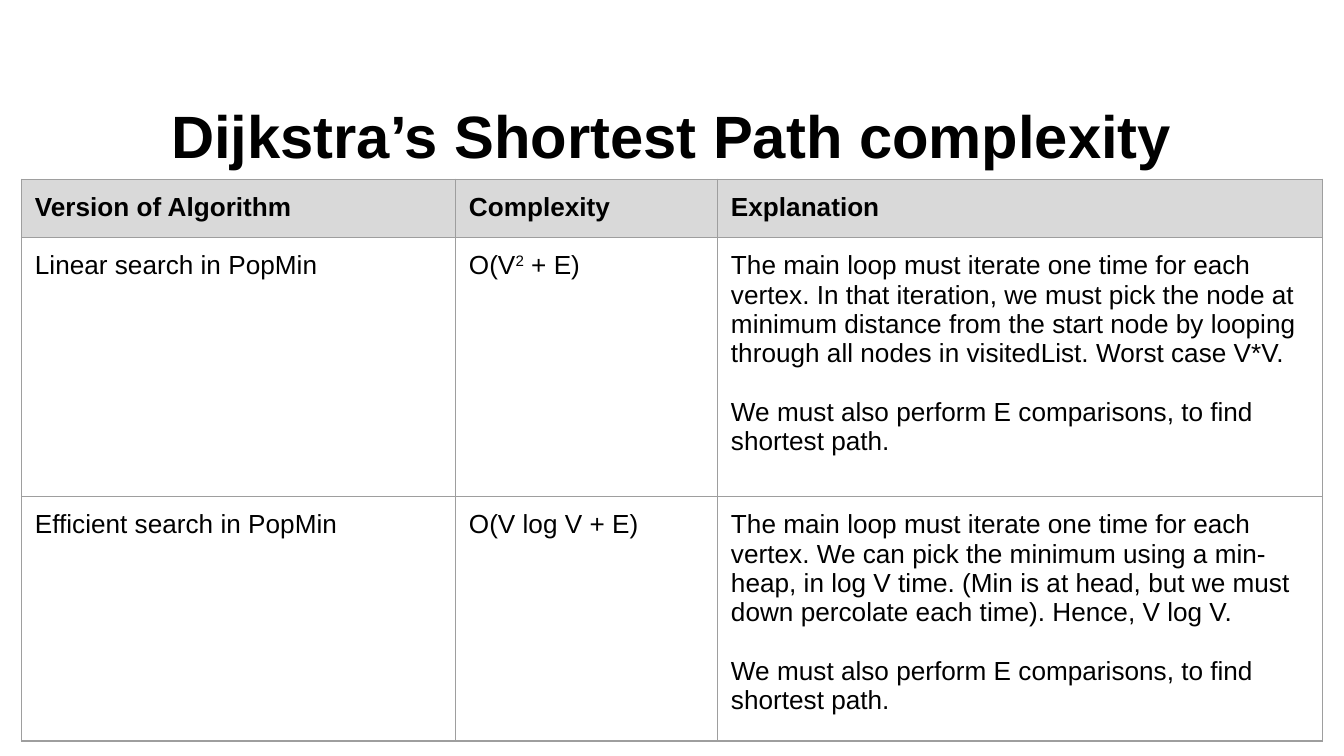
from lxml.etree import SubElement as Sub
from pptx import Presentation
from pptx.dml.color import RGBColor as RGB
from pptx.enum.text import MSO_ANCHOR as Anchor, PP_ALIGN as Align
from pptx.oxml.ns import qn
from pptx.util import Pt

BLACK = RGB(0, 0, 0)
HEAD = RGB(0xD9, 0xD9, 0xD9)
EDGE = RGB(0x9E, 0x9E, 0x9E)
PAD = Pt(7.2)
GAP = Pt(15.75)


def write(frame, text, size=14, bold=False, align=Align.LEFT):
    for i, line in enumerate(text.split("\n")):
        para = frame.paragraphs[0] if i == 0 else frame.add_paragraph()
        para.alignment = align
        if i:
            para.space_before = GAP
        for j, part in enumerate(line.split("^")):
            run = para.add_run()
            run.text = part
            font = run.font
            font.name = "Arial"
            font.size = Pt(size)
            font.bold = bold
            font.color.rgb = BLACK
            if j % 2:
                run._r.get_or_add_rPr().set("baseline", "30000")


def frame_cell(cell):
    props = cell._tc.get_or_add_tcPr()
    for i, side in enumerate(("lnL", "lnR", "lnT", "lnB")):
        line = props.makeelement(qn(f"a:{side}"), {"w": str(Pt(0.75))})
        fill = Sub(line, qn("a:solidFill"))
        Sub(fill, qn("a:srgbClr"), val=str(EDGE))
        props.insert(i, line)


deck = Presentation()
deck.slide_width = Pt(720)
deck.slide_height = Pt(405)
slide = deck.slides.add_slide(deck.slide_layouts[6])

title = slide.shapes.add_textbox(Pt(36), Pt(40.5), Pt(648), Pt(63)).text_frame
title.word_wrap = True
title.vertical_anchor = Anchor.MIDDLE
title.margin_left = title.margin_right = PAD
title.margin_top = title.margin_bottom = PAD
write(title, "Dijkstra’s Shortest Path complexity", size=32, bold=True, align=Align.CENTER)

edges = "We must also perform E comparisons, to find shortest path."
rows = [
    ("Version of Algorithm", "Complexity", "Explanation"),
    (
        "Linear search in PopMin",
        "O(V^2^ + E)",
        "The main loop must iterate one time for each vertex. "
        "In that iteration, we must pick the node at minimum distance "
        "from the start node by looping through all nodes in visitedList. "
        "Worst case V*V.\n" + edges,
    ),
    (
        "Efficient search in PopMin",
        "O(V log V + E)",
        "The main loop must iterate one time for each vertex. "
        "We can pick the minimum using a min-heap, in log V time. "
        "(Min is at head, but we must down percolate each time). "
        "Hence, V log V.\n" + edges,
    ),
]
widths = [232.5, 140.4, 324]
heights = [30, 138.75, 124.25]

table = slide.shapes.add_table(
    len(rows), len(widths), Pt(11.5), Pt(96), Pt(sum(widths)), Pt(sum(heights))
).table
table.first_row = False
table.horz_banding = False
for col, width in zip(table.columns, widths):
    col.width = Pt(width)
for r, (texts, height) in enumerate(zip(rows, heights)):
    table.rows[r].height = Pt(height)
    for c, text in enumerate(texts):
        cell = table.cell(r, c)
        cell.margin_left = cell.margin_right = PAD
        cell.margin_top = cell.margin_bottom = PAD
        if r == 0:
            cell.fill.solid()
            cell.fill.fore_color.rgb = HEAD
        else:
            cell.fill.background()
        frame_cell(cell)
        write(cell.text_frame, text, bold=r == 0)

deck.save("out.pptx")
